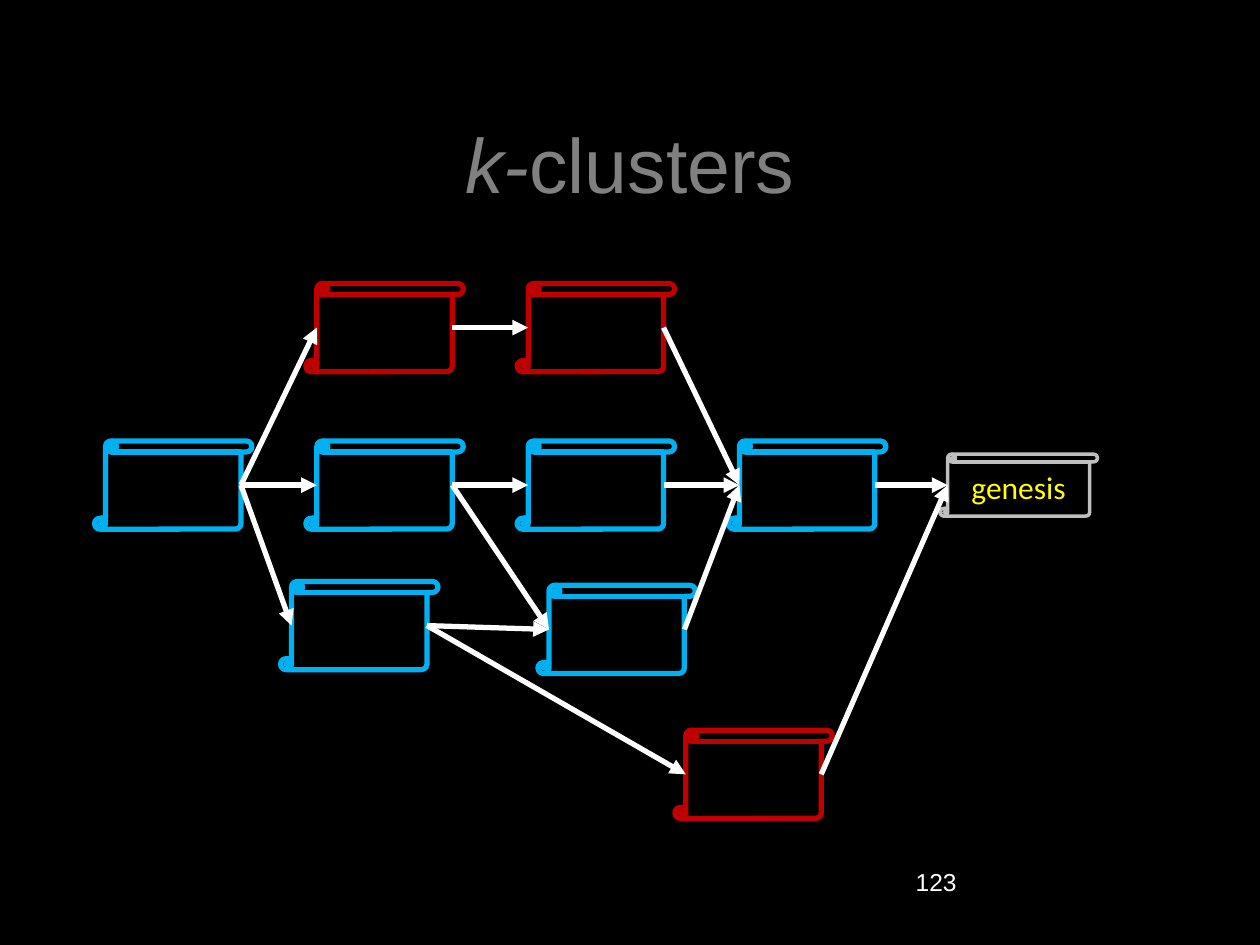
from lxml import etree
from pptx import Presentation
from pptx import util as u
from pptx.dml.color import RGBColor
from pptx.enum import shapes, text
from pptx.oxml.ns import qn

Pt = u.Pt
THEME = {
    "black": RGBColor(0, 0, 0), "white": RGBColor(255, 255, 255),
    "blue": RGBColor(0x00, 0xB0, 0xF0), "red": RGBColor(0xC0, 0, 0),
    "silver": RGBColor(0xBF, 0xBF, 0xBF), "yellow": RGBColor(255, 255, 0),
    "gray": RGBColor(0x80, 0x80, 0x80),
    "heading": "Arial", "label": "Calibri",
    "title_size": 44, "label_size": 18, "number_size": 14,
}
WIDTH, HEIGHT = 90, 50.4
COLS = [54 + 120.75 * i for i in range(4)]
TOP_ROW, MAIN_ROW = 162, 252
CURL = 0.125  # scroll body inset, as a share of its height

# block: left, top, height, outline, outline width
BLOCKS = {
    "genesis": (537.1, 259.5, 35.4, "silver", 2),
    "main1": (COLS[0], MAIN_ROW, HEIGHT, "blue", 3),
    "main2": (COLS[1], MAIN_ROW, HEIGHT, "blue", 3),
    "main3": (COLS[2], MAIN_ROW, HEIGHT, "blue", 3),
    "main4": (COLS[3], MAIN_ROW, HEIGHT, "blue", 3),
    "low1": (160.3, 332.3, HEIGHT, "blue", 3),
    "low2": (307.4, 334.5, HEIGHT, "blue", 3),
    "top1": (COLS[1], TOP_ROW, HEIGHT, "red", 3),
    "top2": (COLS[2], TOP_ROW, HEIGHT, "red", 3),
    "bottom": (385.6, 417.3, HEIGHT, "red", 3),
}
LINKS = {
    "main1": ["top1", "main2", "low1"],
    "main2": ["main3", "low2"],
    "main3": ["main4"],
    "main4": ["genesis"],
    "top1": ["top2"],
    "top2": ["main4"],
    "low1": ["low2", "bottom"],
    "low2": ["main4"],
    "bottom": ["genesis"],
}


def add_run(p, words, font, size, color, italic=False):
    r = p.add_run()
    r.text = words
    for key, value in {"name": THEME[font], "size": Pt(THEME[size]), "italic": italic}.items():
        setattr(r.font, key, value)
    r.font.color.rgb = THEME[color]


prs = Presentation()
prs.slide_width, prs.slide_height = Pt(720), Pt(540)
s = prs.slides.add_slide(prs.slide_layouts[5])
s.background.fill.solid()
s.background.fill.fore_color.rgb = THEME["black"]

# Title
title = s.shapes.title
for key, value in {"left": 54, "top": 48, "width": 612, "height": 90}.items():
    setattr(title, key, Pt(value))
tf = title.text_frame
tf.vertical_anchor = text.MSO_ANCHOR.MIDDLE
p = tf.paragraphs[0]
p.alignment = text.PP_ALIGN.CENTER
add_run(p, "k-", "heading", "title_size", "gray", italic=True)
add_run(p, "clusters", "heading", "title_size", "gray")

# Blocks
for block, (left, top, height, color, weight) in BLOCKS.items():
    sp = s.shapes.add_shape(shapes.MSO_SHAPE.VERTICAL_SCROLL,
                            Pt(left), Pt(top), Pt(WIDTH), Pt(height))
    sp.shadow.inherit = False
    sp.fill.solid()
    sp.fill.fore_color.rgb = THEME["black"]
    sp.line.color.rgb = THEME[color]
    sp.line.width = Pt(weight)
    if block == "genesis":
        tf = sp.text_frame
        tf.auto_size = text.MSO_AUTO_SIZE.SHAPE_TO_FIT_TEXT
        tf.vertical_anchor = text.MSO_ANCHOR.MIDDLE
        p = tf.paragraphs[0]
        p.alignment = text.PP_ALIGN.CENTER
        add_run(p, "genesis", "label", "label_size", "yellow")

# Arrows from each block's right side to the left side of its parents
for child, parents in LINKS.items():
    x1, y1, h1 = BLOCKS[child][:3]
    for parent in parents:
        x2, y2, h2 = BLOCKS[parent][:3]
        c = s.shapes.add_connector(shapes.MSO_CONNECTOR.STRAIGHT,
                                   Pt(x1 + WIDTH - CURL * h1), Pt(y1 + h1 / 2),
                                   Pt(x2 + CURL * h2), Pt(y2 + h2 / 2))
        c.line.color.rgb = THEME["white"]
        c.line.width = Pt(3)
        etree.SubElement(c.line._get_or_add_ln(), qn("a:tailEnd"), type="triangle")
        etree.SubElement(c._element.spPr, qn("a:effectLst"))

# Slide number
number = s.shapes.add_textbox(Pt(516.2), Pt(491.8), Pt(149.8), Pt(36))
number.text_frame.word_wrap = True
add_run(number.text_frame.paragraphs[0], "123", "heading", "number_size", "white")

prs.save("out.pptx")
